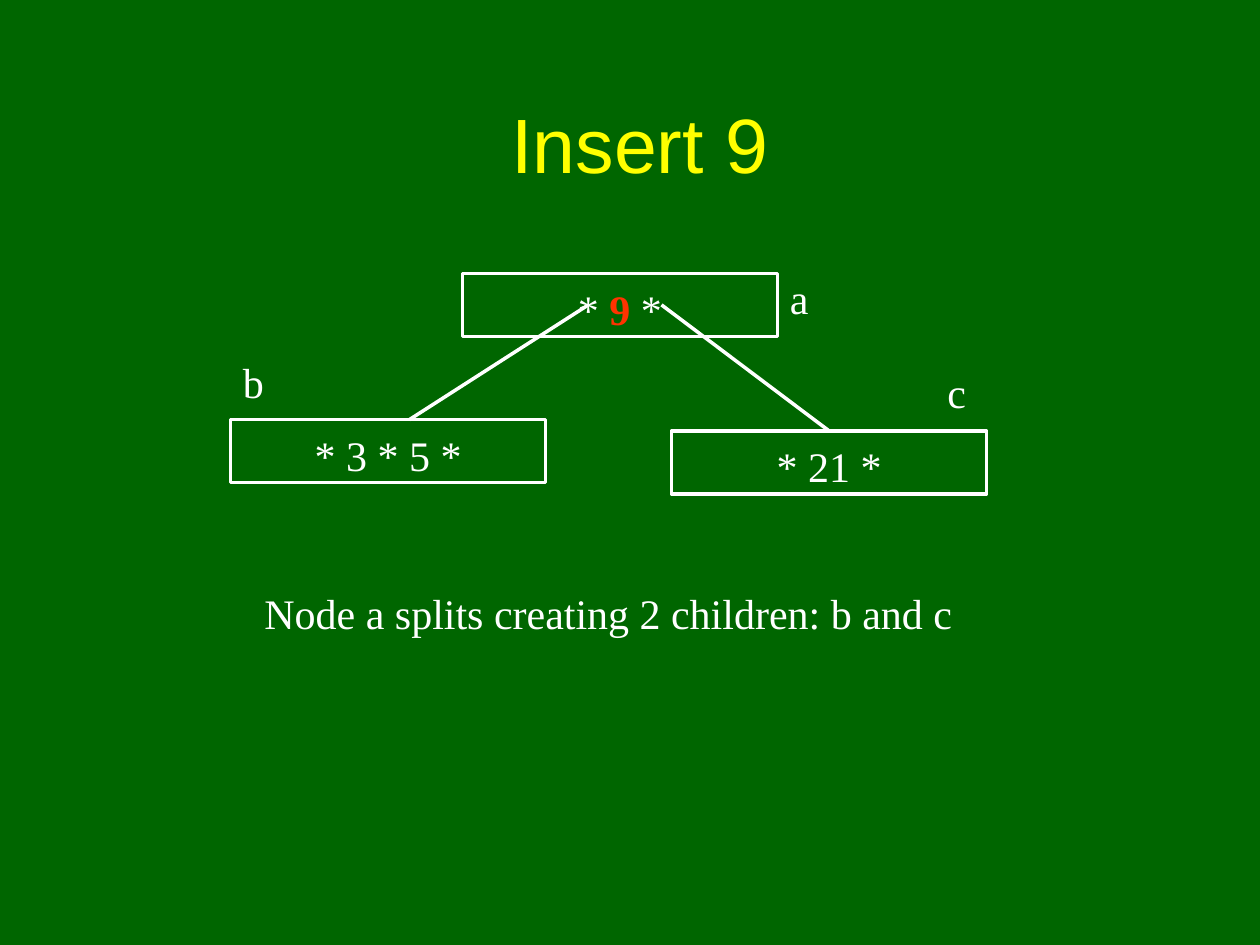
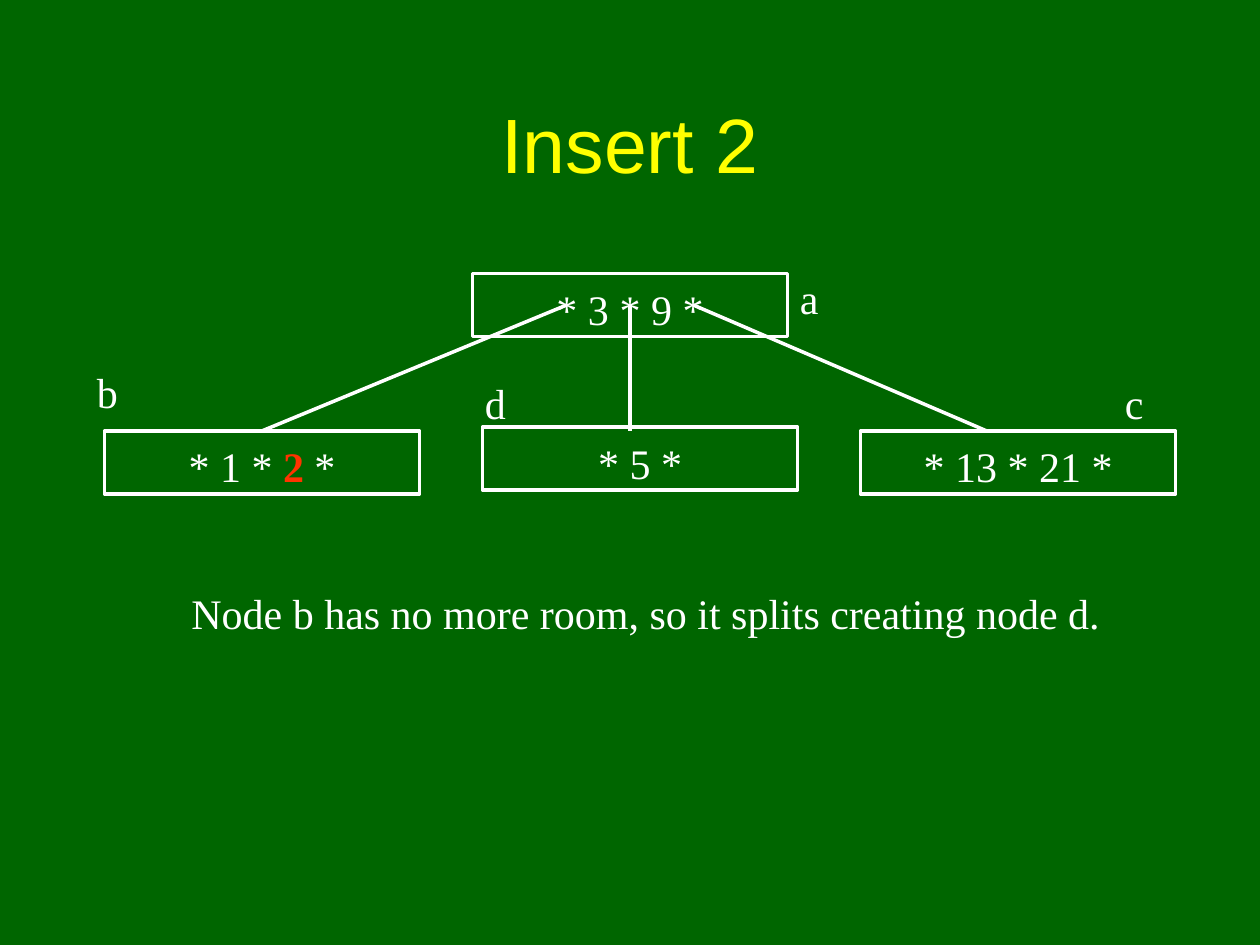
from pptx import Presentation
from pptx.dml.color import RGBColor
from pptx.enum.shapes import MSO_CONNECTOR, MSO_SHAPE
from pptx.enum.text import MSO_ANCHOR, PP_ALIGN
from pptx.oxml.ns import qn
from pptx.util import Inches, Pt
from lxml.etree import SubElement

GREEN, YELLOW, WHITE, RED = "006600", "FFFF00", "FFFFFF", "FF3300"
NODE_WIDTH, NODE_HEIGHT = 2.5, 0.5
ROOT_TOP = 2.17
ROOT_MIDDLE = ROOT_TOP + NODE_HEIGHT / 2
CAPTION_TOP = 4.58
TITLE_FORMAT = {"name": "Arial", "size": Pt(44)}
BODY_FORMAT = {"name": "Times New Roman", "size": Pt(24)}
BODY_MARGINS = {"margin_left": Inches(0.1), "margin_top": Inches(0.08),
                "margin_right": Inches(0.1), "margin_bottom": Inches(0.02)}
TOP_SIDE = 0


def rgb(hex_color):
    return RGBColor.from_string(hex_color)


def set_attributes(target, values):
    for name, value in values.items():
        setattr(target, name, value)


class TreeDeck:
    def __init__(self):
        self.presentation = Presentation()
        self.presentation.slide_width = Inches(10)
        self.presentation.slide_height = Inches(7.5)
        self.slide = None

    def start_slide(self, title, title_left):
        self.slide = self.presentation.slides.add_slide(self.presentation.slide_layouts[6])
        background = self.slide.background.fill
        background.solid()
        background.fore_color.rgb = rgb(GREEN)
        heading = self.slide.shapes.add_textbox(
            Inches(title_left), Inches(0.67), Inches(8.5), Inches(0.92))
        set_attributes(heading.text_frame,
                       {"word_wrap": True, "vertical_anchor": MSO_ANCHOR.MIDDLE})
        self.fill_text(heading, title, PP_ALIGN.CENTER, TITLE_FORMAT, YELLOW)

    def fill_text(self, shape, text, align, font_format, color, inserted=None):
        """Put in one line of text, with the inserted key in bold red."""
        paragraph = shape.text_frame.paragraphs[0]
        paragraph.alignment = align
        before, key, after = text.partition(inserted) if inserted else (text, "", "")
        for part, part_color, bold in ((before, color, False), (key, RED, True),
                                       (after, color, False)):
            if part:
                run = paragraph.add_run()
                run.text = part
                set_attributes(run.font, {**font_format, "bold": bold})
                run.font.color.rgb = rgb(part_color)

    def node(self, keys, left, top, inserted=None):
        box = self.slide.shapes.add_shape(
            MSO_SHAPE.RECTANGLE, Inches(left), Inches(top),
            Inches(NODE_WIDTH), Inches(NODE_HEIGHT))
        box.shadow.inherit = False
        box.fill.background()
        self.draw_line(box.line)
        set_attributes(box.text_frame, {**BODY_MARGINS, "word_wrap": True,
                                        "vertical_anchor": MSO_ANCHOR.TOP})
        self.fill_text(box, keys, PP_ALIGN.CENTER, BODY_FORMAT, WHITE, inserted)
        return box

    def draw_line(self, line):
        line.color.rgb = rgb(WHITE)
        line.width = Pt(2)

    def branch(self, start_x, end_x=None, end_y=3.42, child=None):
        """Run from the root's middle to a point, or to the top of a child node."""
        edge = self.slide.shapes.add_connector(
            MSO_CONNECTOR.STRAIGHT, Inches(start_x), Inches(ROOT_MIDDLE),
            Inches(end_x or start_x), Inches(end_y))
        if child is not None:
            edge.end_connect(child, TOP_SIDE)
        self.draw_line(edge.line)
        SubElement(edge._element.spPr, qn("a:effectLst"))

    def text(self, words, left, top, width=0.5):
        box = self.slide.shapes.add_textbox(
            Inches(left), Inches(top), Inches(width), Inches(0.5))
        set_attributes(box.text_frame, {**BODY_MARGINS, "word_wrap": True})
        self.fill_text(box, words, PP_ALIGN.LEFT, BODY_FORMAT, WHITE)

    def labels(self, places):
        for name, (left, top) in places.items():
            self.text(name, left, top)


def insert_nine(deck):
    deck.start_slide("Insert 9", 0.83)
    deck.node("* 9 *", 3.67, ROOT_TOP, inserted="9")
    deck.node("* 3 * 5 *", 1.83, 3.33)
    node_c = deck.node("* 21 *", 5.33, 3.42)
    deck.branch(4.67, 3.25, 3.33)
    deck.branch(5.25, child=node_c)
    deck.labels({"a": (6.17, 2.08), "b": (1.83, 2.75), "c": (7.42, 2.83)})
    deck.text("Node a splits creating 2 children: b and c", 2, CAPTION_TOP, 6)


def insert_two(deck):
    deck.start_slide("Insert 2", 0.75)
    deck.node("* 3 * 9 *", 3.75, ROOT_TOP)
    node_b = deck.node("* 1 * 2 *", 0.83, 3.42, inserted="2")
    deck.node("* 13 * 21 *", 6.83, 3.42)
    deck.node("* 5 *", 3.83, 3.39)
    deck.branch(4.5, child=node_b)
    deck.branch(5)
    deck.branch(5.5, 7.83)
    deck.labels({"a": (6.25, 2.08), "b": (0.67, 2.83),
                 "d": (3.75, 2.92), "c": (8.83, 2.92)})
    deck.text("Node b has no more room, so it splits creating node d.", 1.42, CAPTION_TOP, 8)


def main():
    deck = TreeDeck()
    insert_nine(deck)
    insert_two(deck)
    deck.presentation.save("out.pptx")


if __name__ == "__main__":
    main()
